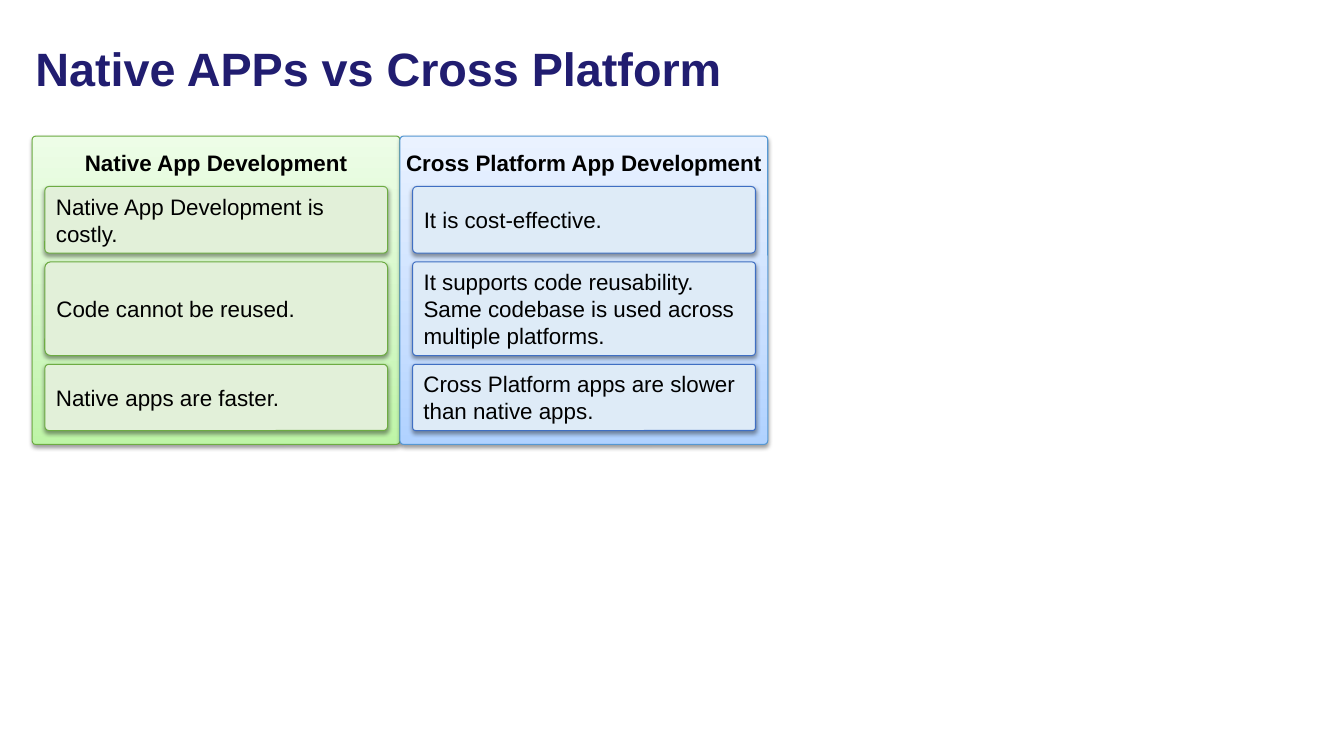
from copy import deepcopy
from dataclasses import dataclass

from lxml.etree import SubElement
from pptx import Presentation
from pptx.dml.color import RGBColor
from pptx.enum.shapes import MSO_SHAPE
from pptx.enum.text import MSO_ANCHOR, MSO_AUTO_SIZE, PP_ALIGN
from pptx.oxml.ns import qn
from pptx.shapes.autoshape import Shape
from pptx.shapes.shapetree import GroupShapes
from pptx.text.text import TextFrame
from pptx.util import Cm, Pt

NAVY = RGBColor(0x21, 0x1D, 0x70)
BLACK = RGBColor(0x00, 0x00, 0x00)
GREEN_LINE = RGBColor(0x6D, 0xAC, 0x43)
GREEN_CARD = RGBColor(0xE2, 0xF0, 0xD9)
GREEN_SHADES = (RGBColor(0xBE, 0xF5, 0xA7), RGBColor(0xD1, 0xF7, 0xC2), RGBColor(0xED, 0xFD, 0xE7))
BLUE_PANEL_LINE = RGBColor(0x56, 0x98, 0xD3)
BLUE_CARD_LINE = RGBColor(0x3F, 0x6F, 0xC3)
BLUE_CARD = RGBColor(0xDE, 0xEB, 0xF7)
BLUE_SHADES = (RGBColor(0xB0, 0xD2, 0xFF), RGBColor(0xC7, 0xDE, 0xFF), RGBColor(0xEA, 0xF2, 0xFF))

# Lengths in centimetres
PANEL_LEFT, PANEL_TOP, PANEL_WIDTH, PANEL_HEIGHT = 0.81, 3.43, 9.27, 7.77
CARD_INSET, CARD_TOP, CARD_WIDTH, CARD_GAP = 0.32, 4.7, 8.64, 0.22
CARD_HEIGHTS = (1.68, 2.36, 1.67)
SHADE_POSITIONS = (0, 0.35, 1)

TITLE_FONT = {"name": "Arial", "size": Pt(33.4), "bold": True}
HEADING_FONT = {"name": "Arial", "size": Pt(16), "bold": True}
CARD_FONT = {"name": "Arial", "size": Pt(16), "bold": False}
TITLE_FRAME = {"word_wrap": True, "auto_size": MSO_AUTO_SIZE.NONE,
               "vertical_anchor": MSO_ANCHOR.MIDDLE}
HEADING_FRAME = {"word_wrap": True, "vertical_anchor": MSO_ANCHOR.TOP, "margin_top": Cm(0.3),
                 "margin_left": Cm(0.1), "margin_right": Cm(0.1)}
CARD_FRAME = {"word_wrap": True, "vertical_anchor": MSO_ANCHOR.MIDDLE}


@dataclass(frozen=True)
class Card:
    text: str
    rounding: float = 0.063


@dataclass(frozen=True)
class Column:
    heading: str
    shades: tuple[RGBColor, ...]
    panel_line: RGBColor
    card_fill: RGBColor
    card_line: RGBColor
    cards: tuple[Card, ...]


COLUMNS = (
    Column("Native App Development", GREEN_SHADES, GREEN_LINE, GREEN_CARD, GREEN_LINE, (
        Card("Native App Development is costly."),
        Card("Code cannot be reused."),
        Card("Native apps are faster."),
    )),
    Column("Cross Platform App Development", BLUE_SHADES, BLUE_PANEL_LINE, BLUE_CARD,
           BLUE_CARD_LINE, (
               Card("It is cost-effective."),
               Card("It supports code reusability. Same codebase is used across "
                    "multiple platforms.", 0.038),
               Card("Cross Platform apps are slower than native apps.", 0.045),
           )),
)


def apply_format(target: object, values: dict) -> None:
    for name, value in values.items():
        setattr(target, name, value)


def write_text(frame: TextFrame, text: str, frame_format: dict, font_format: dict,
               color: RGBColor, alignment: PP_ALIGN) -> None:
    apply_format(frame, frame_format)
    para = frame.paragraphs[0]
    para.alignment = alignment
    span = para.add_run()
    span.text = text
    apply_format(span.font, font_format)
    span.font.color.rgb = color


def add_shadow(box: Shape) -> None:
    box.shadow.inherit = False
    effects = box.element.spPr.find(qn("a:effectLst"))
    shadow = SubElement(effects, qn("a:outerShdw"), blurRad=str(Pt(3.1)), dist=str(Pt(1.6)),
                        dir="5400000", rotWithShape="0")
    color = SubElement(shadow, qn("a:srgbClr"), val="000000")
    SubElement(color, qn("a:alpha"), val="38000")


def add_box(shapes: GroupShapes, left: float, top: float, width: float, height: float,
            rounding: float, line: RGBColor) -> Shape:
    box = shapes.add_shape(MSO_SHAPE.ROUNDED_RECTANGLE, Cm(left), Cm(top), Cm(width), Cm(height))
    box.adjustments[0] = rounding
    box.line.color.rgb = line
    box.line.width = Pt(0.75)
    add_shadow(box)
    return box


def shade_upwards(box: Shape, shades: tuple[RGBColor, ...]) -> None:
    box.fill.gradient()
    box.fill.gradient_angle = 90
    stop_list = box.element.spPr.find(qn("a:gradFill")).find(qn("a:gsLst"))
    stop_list.append(deepcopy(stop_list[0]))
    for stop, position, shade in zip(box.fill.gradient_stops, SHADE_POSITIONS, shades):
        stop.position = position
        stop.color.rgb = shade


def add_panel(shapes: GroupShapes, column: Column, left: float) -> None:
    panel = add_box(shapes, left, PANEL_TOP, PANEL_WIDTH, PANEL_HEIGHT, 0.012, column.panel_line)
    shade_upwards(panel, column.shades)
    write_text(panel.text_frame, column.heading, HEADING_FRAME, HEADING_FONT, BLACK,
               PP_ALIGN.CENTER)


def add_cards(shapes: GroupShapes, column: Column, left: float) -> None:
    top = CARD_TOP
    for card, height in zip(column.cards, CARD_HEIGHTS):
        box = add_box(shapes, left + CARD_INSET, top, CARD_WIDTH, height, card.rounding,
                      column.card_line)
        box.fill.solid()
        box.fill.fore_color.rgb = column.card_fill
        write_text(box.text_frame, card.text, CARD_FRAME, CARD_FONT, BLACK, PP_ALIGN.LEFT)
        top += height + CARD_GAP


def main() -> None:
    deck = Presentation()
    apply_format(deck, {"slide_width": Cm(33.87), "slide_height": Cm(19.05)})
    page = deck.slides.add_slide(deck.slide_layouts[5])

    # Title
    title = page.shapes.title
    apply_format(title, {"left": Cm(0.64), "top": Cm(0.64), "width": Cm(30), "height": Cm(2.31)})
    write_text(title.text_frame, "Native APPs vs Cross Platform", TITLE_FRAME, TITLE_FONT, NAVY,
               PP_ALIGN.LEFT)
    title.text_frame.paragraphs[0].line_spacing = 0.9

    # Comparison: panels behind, cards in front
    comparison = page.shapes.add_group_shape().shapes
    for draw in (add_panel, add_cards):
        for index, column in enumerate(COLUMNS):
            draw(comparison, column, PANEL_LEFT + index * PANEL_WIDTH)

    deck.save("out.pptx")


if __name__ == "__main__":
    main()
